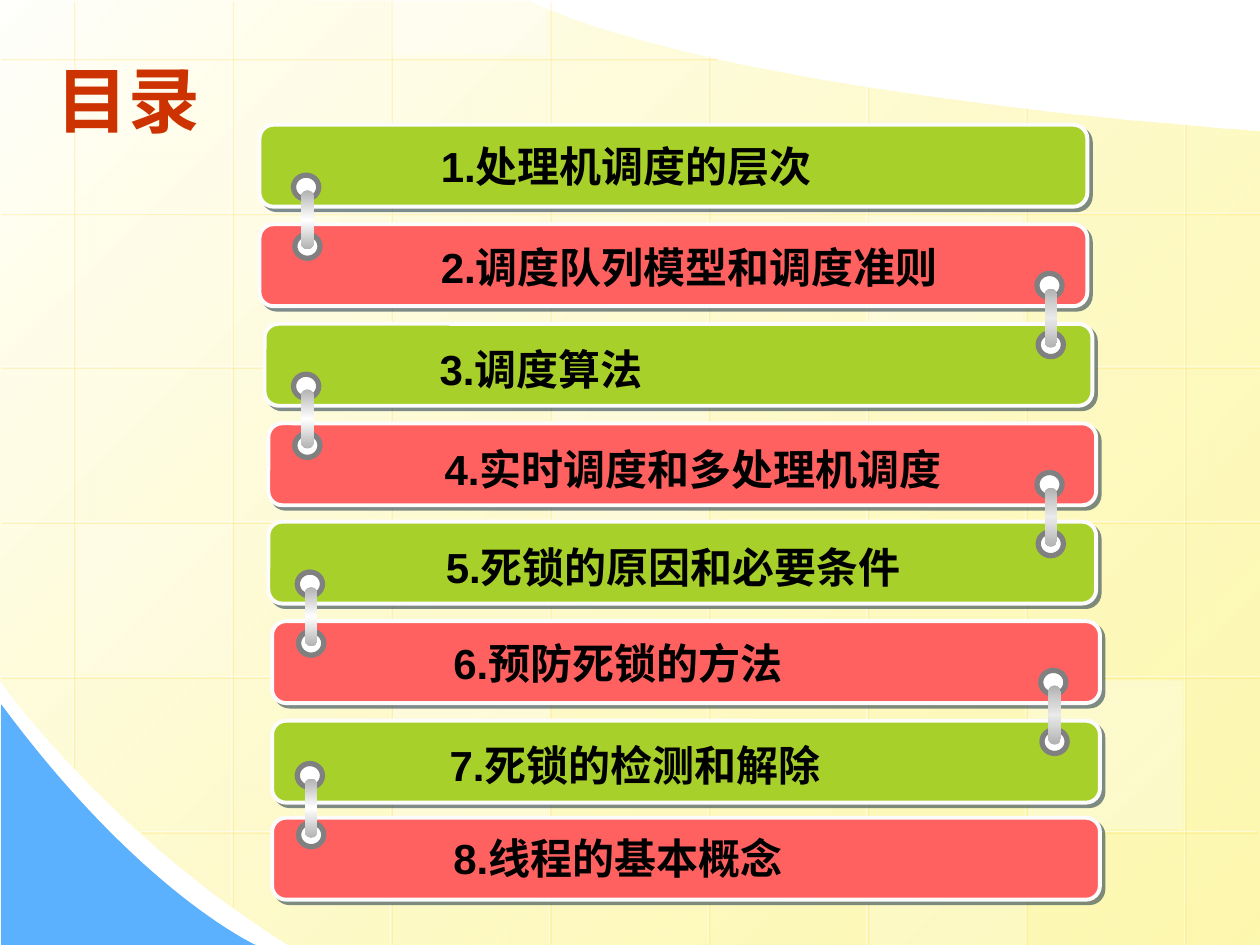
from lxml.etree import SubElement as Sub
from pptx import Presentation
from pptx.dml.color import RGBColor as RGB
from pptx.enum.shapes import MSO_CONNECTOR as Conn, MSO_SHAPE as Kind
from pptx.enum.text import MSO_ANCHOR as Anchor, MSO_AUTO_SIZE as Auto
from pptx.oxml.ns import qn
from pptx.util import Inches, Pt

WHITE = RGB(0xFF, 0xFF, 0xFF)
FROST = RGB(0xFC, 0xFC, 0xFC)
CREAM = RGB(0xFF, 0xFF, 0xFB)
LEMON = RGB(0xFD, 0xF5, 0x8D)
GOLD = RGB(0xFF, 0xCC, 0x00)
BLUE = RGB(0x5C, 0xB1, 0xFE)
NAVY = RGB(0x00, 0x1D, 0x3A)
GREEN = RGB(0xA8, 0xD0, 0x2A)
CORAL = RGB(0xFF, 0x61, 0x61)
RUST = RGB(0xCC, 0x33, 0x00)
BLACK = RGB(0x00, 0x00, 0x00)
GRAY = RGB(0x80, 0x80, 0x80)
SILVER = RGB(0xB2, 0xB2, 0xB2)
PALE = RGB(0xEA, 0xEA, 0xEA)

CARDS = [
    (2.06, 0.99, 2.91, 1.07, "1.处理机调度的层次"),
    (2.06, 1.78, 2.91, 1.87, "2.调度队列模型和调度准则"),
    (2.1, 2.57, 2.9, 2.68, "3.调度算法"),
    (2.13, 3.36, 2.94, 3.47, "4.实时调度和多处理机调度"),
    (2.13, 4.14, 2.95, 4.25, "5.死锁的原因和必要条件"),
    (2.16, 4.93, 3.01, 5.01, "6.预防死锁的方法"),
    (2.16, 5.72, 2.98, 5.82, "7.死锁的检测和解除"),
    (2.16, 6.49, 3.01, 6.56, "8.线程的基本概念"),
]
LEFT = [(2.33, 1.39), (2.33, 2.97), (2.36, 4.54), (2.36, 6.06)]
RIGHT = [(8.23, 2.17), (8.23, 3.75), (8.26, 5.32)]
COLS = [(0, 6.09), (0, 7.19), (0, 7.5), (0, 7.52),
        (0.43, 7.52), (0.68, 7.52), (0.85, 7.52), (0.98, 7.52)]
ROWS = [(5.68, 0, 0.46), (10.01, 0, 1.69), (10.01, 0, 2.91),
        (10.01, 0, 4.14), (10.01, 0, 5.37), (9.97, 1.11, 6.6)]
TILES = [
    (4.38, 2.94, 1.18, 25), (8.16, 5.4, 1.18, 30), (0.6, 4.16, 1.18, 20),
    (6.9, 6.63, 0.87, 20), (3.11, 0, 0.44, 40), (3.12, 5.4, 1.18, 30),
    (6.89, 1.71, 1.18, 30),
]


def curve(a, b, c, d, steps=40):
    points = []
    for i in range(1, steps + 1):
        t = i / steps
        u = 1 - t
        points.append(tuple(
            u**3 * p + 3 * u * u * t * q + 3 * u * t * t * r + t**3 * s
            for p, q, r, s in zip(a, b, c, d)))
    return points


def fade(shape, alpha):
    for color in shape._element.spPr.iter(qn("a:srgbClr")):
        Sub(color, qn("a:alpha"), val=str(alpha * 1000))


def shade(shape, color, alpha, dist):
    props = shape._element.spPr
    for old in props.findall(qn("a:effectLst")):
        props.remove(old)
    effects = Sub(props, qn("a:effectLst"))
    drop = Sub(effects, qn("a:outerShdw"), dist=str(Pt(dist)),
               dir=str(45 * 60000), algn="ctr", rotWithShape="0")
    tint = Sub(drop, qn("a:srgbClr"), val=str(color))
    Sub(tint, qn("a:alpha"), val=str(alpha * 1000))


def blend(shape, angle, stops):
    shape.fill.gradient()
    shape.fill.gradient_angle = 360 - angle
    items = shape._element.spPr.find(qn("a:gradFill")).find(qn("a:gsLst"))
    for old in list(items):
        items.remove(old)
    for place, color, alpha in stops:
        stop = Sub(items, qn("a:gs"), pos=str(place * 1000))
        tint = Sub(stop, qn("a:srgbClr"), val=str(color))
        if alpha < 100:
            Sub(tint, qn("a:alpha"), val=str(alpha * 1000))


class Deck:
    font = "Arial"

    def __init__(self, slide):
        self.slide = slide
        self.shapes = slide.shapes

    def shape(self, kind, box, fill=None, line=None, width=0, home=None):
        item = (home or self.shapes).add_shape(kind, *map(Inches, box))
        return self.paint(item, fill, line, width)

    def paint(self, item, fill, line=None, width=0):
        item.shadow.inherit = False
        if fill is not None:
            item.fill.solid()
            item.fill.fore_color.rgb = fill
        if line is None:
            item.line.fill.background()
        else:
            item.line.color.rgb = line
            item.line.width = Pt(width)
        return item

    def area(self, points, fill=None):
        points = [tuple(map(Inches, point)) for point in points]
        pen = self.shapes.build_freeform(*points[0])
        pen.add_line_segments(points[1:], close=True)
        return self.paint(pen.convert_to_shape(), fill)

    def rule(self, *ends):
        line = self.shapes.add_connector(Conn.STRAIGHT, *map(Inches, ends))
        line.line.color.rgb = WHITE
        line.line.width = Pt(0.75)
        fade(line, 50)
        shade(line, GOLD, 34, 1.4)

    def text(self, box, words, size, color, home=None):
        item = (home or self.shapes).add_textbox(*map(Inches, box))
        frame = item.text_frame
        frame.word_wrap = True
        para = frame.paragraphs[0]
        para.text = words
        para.font.name = self.font
        para.font.size = Pt(size)
        para.font.bold = True
        para.font.color.rgb = color
        return frame

    def card(self, left, top, tx, ty, words, fill):
        home = self.shapes.add_group_shape().shapes
        plate = self.shape(Kind.ROUNDED_RECTANGLE, (left, top, 6.57, 0.65),
                           fill, FROST, 2.25, home)
        plate.adjustments[0] = 0.17
        shade(plate, NAVY, 50, 2.8)
        frame = self.text((tx, ty, 4.93, 0.5), words, 24, BLACK, home)
        frame.auto_size = Auto.SHAPE_TO_FIT_TEXT
        props = frame.paragraphs[0]._p.get_or_add_pPr()
        props.set("marL", str(Inches(0.5)))
        props.set("indent", str(Inches(-0.01)))

    def link(self, left, top, glow):
        home = self.shapes.add_group_shape().shapes
        for x, y in ((left, top), (left + 0.01, top + 0.47)):
            self.shape(Kind.OVAL, (x, y, 0.2, 0.19), WHITE, GRAY, 3, home)
        bar = self.shape(Kind.ROUNDED_RECTANGLE,
                         (left + 0.06, top + 0.12, 0.1, 0.47), home=home)
        bar.adjustments[0] = 0.5
        blend(bar, 90, [(0, SILVER, 100), (50, glow, 100), (100, SILVER, 100)])


def main():
    show = Presentation()
    show.slide_width, show.slide_height = Inches(10), Inches(7.5)
    deck = Deck(show.slides.add_slide(show.slide_layouts[6]))

    top = curve((4.21, 0.01), (4.21, 0.01), (5.37, 0.69), (10, 1.04))
    low = curve((2.3, 7.5), (0.86, 6.61), (-0.01, 5.39), (0, 5.39))
    page = deck.area([(-0.01, -0.01), (4.21, 0.01), *top,
                      (10, 7.5), (2.3, 7.5), *low])
    blend(page, 45, [(0, CREAM, 100), (100, LEMON, 70)])
    edge = curve((2.03, 7.5), (2.03, 7.5), (1.12, 7.09), (0.01, 5.59))
    deck.area([(0.01, 5.59), (0.01, 7.5), (2.03, 7.5), *edge], BLUE)

    for i, (start, end) in enumerate(COLS):
        x = 0.58 + 1.26 * i
        deck.rule(x, start, x, end)
    for start, end, y in ROWS:
        deck.rule(start, y, end, y)
    for x, y, high, alpha in TILES:
        fade(deck.shape(Kind.RECTANGLE, (x, y, 1.23, high), WHITE), alpha)

    title = deck.text((0.35, 0.28, 1.42, 1.01), "目录", 41, RUST)
    title.vertical_anchor = Anchor.MIDDLE
    for i, card in enumerate(CARDS):
        deck.card(*card, (GREEN, CORAL)[i % 2])
    for spots, glow in ((RIGHT, PALE), (LEFT, WHITE)):
        for x, y in spots:
            deck.link(x, y, glow)

    show.save("out.pptx")


if __name__ == "__main__":
    main()
